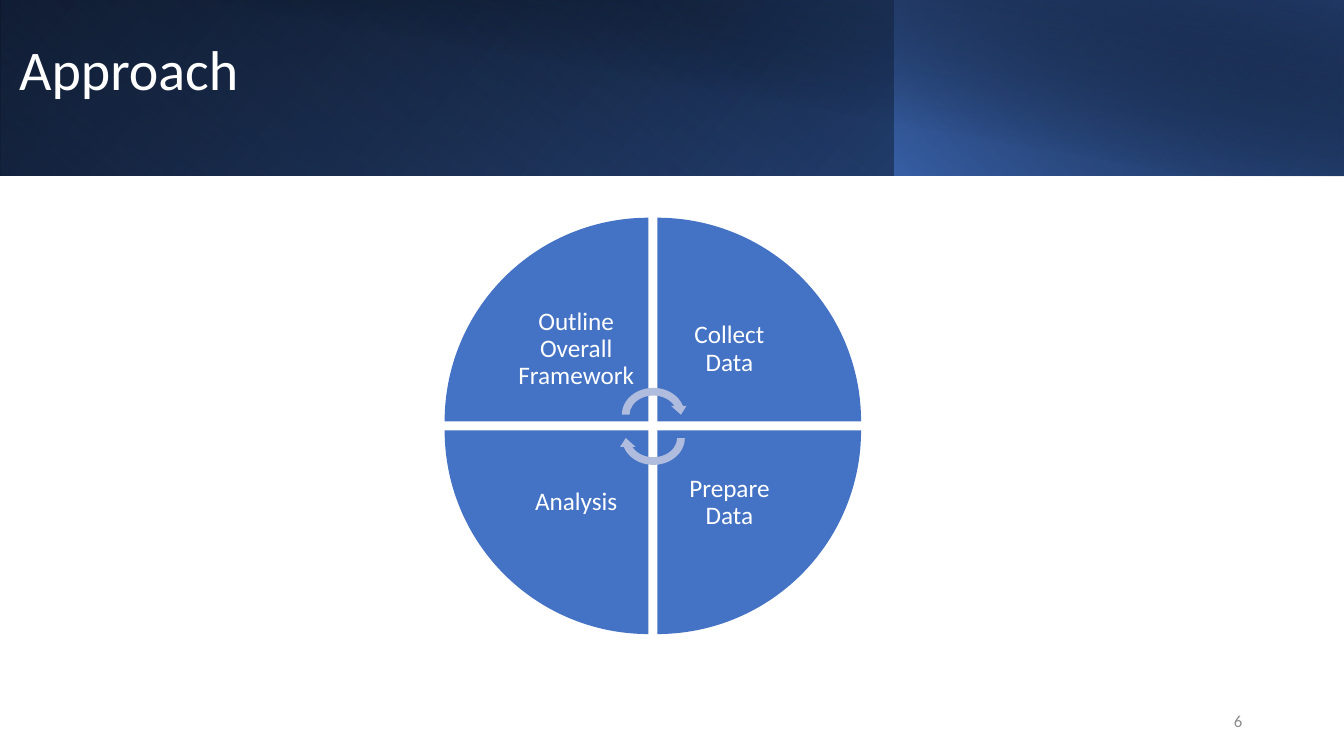
from dataclasses import dataclass

from lxml import etree
from pptx import Presentation
from pptx.dml.color import RGBColor
from pptx.enum.shapes import MSO_SHAPE
from pptx.enum.text import MSO_ANCHOR, MSO_AUTO_SIZE, PP_ALIGN
from pptx.oxml.ns import qn
from pptx.util import Inches, Pt


@dataclass(frozen=True)
class Theme:
    font: str = "Calibri"
    white: str = "FFFFFF"
    black: str = "000000"
    blue: str = "4472C4"
    deep_blue: str = "2F5597"
    navy: str = "203864"
    arrow: str = "B0BCDE"
    grey: str = "8C8C8C"
    title_size: int = 40
    label_size: int = 18
    number_size: int = 12


class SlideBuilder:
    def __init__(self, slide, theme):
        self.slide = slide
        self.theme = theme

    def shape(self, kind, box, color=None, rotation=0):
        sp = self.slide.shapes.add_shape(kind, *map(Inches, box))
        sp.shadow.inherit = False
        sp.line.fill.background()
        sp.rotation = rotation
        if color:
            sp.fill.solid()
            sp.fill.fore_color.rgb = RGBColor.from_string(color)
        return sp

    def gradient_band(self, box, stops, angle, rotation=0, flip=True):
        sp = self.shape(MSO_SHAPE.RECTANGLE, box, rotation=rotation)
        if flip:
            sp._element.spPr.find(qn("a:xfrm")).set("flipH", "1")
        sp.fill.gradient()
        sp.fill.gradient_angle = 360 - angle
        for stop, (position, color, _) in zip(sp.fill.gradient_stops, stops):
            stop.position = position / 100
            stop.color.rgb = RGBColor.from_string(color)
        colors = sp._element.spPr.iter(qn("a:srgbClr"))
        for clr, (_, _, opacity) in zip(colors, stops):
            etree.SubElement(clr, qn("a:alpha")).set("val", str(opacity * 1000))

    def format_text(self, sp, text, size, color, align, spacing=1.0):
        tf = sp.text_frame
        tf.text = text
        tf.word_wrap = True
        tf.auto_size = MSO_AUTO_SIZE.NONE
        tf.vertical_anchor = MSO_ANCHOR.MIDDLE
        p = tf.paragraphs[0]
        p.alignment = align
        p.line_spacing = spacing
        p.space_before = Pt(0)
        for r in p.runs:
            r.font.name = self.theme.font
            r.font.size = Pt(size)
            r.font.color.rgb = RGBColor.from_string(color)
        return tf

    def title(self, text, box):
        sp = self.slide.shapes.title
        sp.left, sp.top, sp.width, sp.height = map(Inches, box)
        self.format_text(sp, text, self.theme.title_size, self.theme.white,
                         PP_ALIGN.LEFT, 0.9)
        self.slide.shapes._spTree.append(sp._element)

    def text(self, text, box, size, color, align, spacing=1.0, inset=None):
        sp = self.slide.shapes.add_textbox(*map(Inches, box))
        tf = self.format_text(sp, text, size, color, align, spacing)
        if inset is not None:
            tf.margin_left = tf.margin_right = Inches(inset)
            tf.margin_top = tf.margin_bottom = Inches(inset)


def main():
    prs = Presentation()
    prs.slide_width, prs.slide_height = Inches(13.33), Inches(7.5)
    theme = Theme()
    s = SlideBuilder(prs.slides.add_slide(prs.slide_layouts[5]), theme)

    band = 1.74
    s.gradient_band((0, 0, 13.33, band),
                    [(0, theme.black, 100), (100, theme.deep_blue, 100)], 140)
    s.gradient_band((0, 0, 8.88, band),
                    [(20, theme.blue, 0), (100, theme.navy, 55)], 230, rotation=180)
    s.gradient_band((8.87, 0, 4.46, band),
                    [(0, theme.blue, 66), (100, theme.black, 30)], 220)
    s.gradient_band((0.5, 0, 12.83, 1.75),
                    [(50, theme.black, 0), (99, theme.navy, 52)], 280, flip=False)
    s.title("Approach", (0.09, 0.15, 10.82, 1.13))

    left, top, wedge, pitch, label = 4.41, 2.16, 2.02, 2.11, 1.43
    inner = wedge - label
    steps = [("Outline Overall Framework", 0, 0), ("Collect Data", 1, 0),
             ("Prepare Data", 1, 1), ("Analysis", 0, 1)]
    for i, (text, col, row) in enumerate(steps):
        x, y = left + col * pitch, top + row * pitch
        s.shape(MSO_SHAPE.PIE_WEDGE, (x, y, wedge, wedge), theme.blue, i * 90)
        s.text(text, (x + inner * (1 - col), y + inner * (1 - row), label, label),
               theme.label_size, theme.white, PP_ALIGN.CENTER, 0.9, 0.14)

    for y, rotation in ((3.81, 0), (4.04, 180)):
        s.shape(MSO_SHAPE.CIRCULAR_ARROW, (6.13, y, 0.7, 0.61), theme.arrow, rotation)

    s.text("6", (9.42, 6.95, 3, 0.4), theme.number_size, theme.grey, PP_ALIGN.RIGHT)
    prs.save("out.pptx")


if __name__ == "__main__":
    main()
